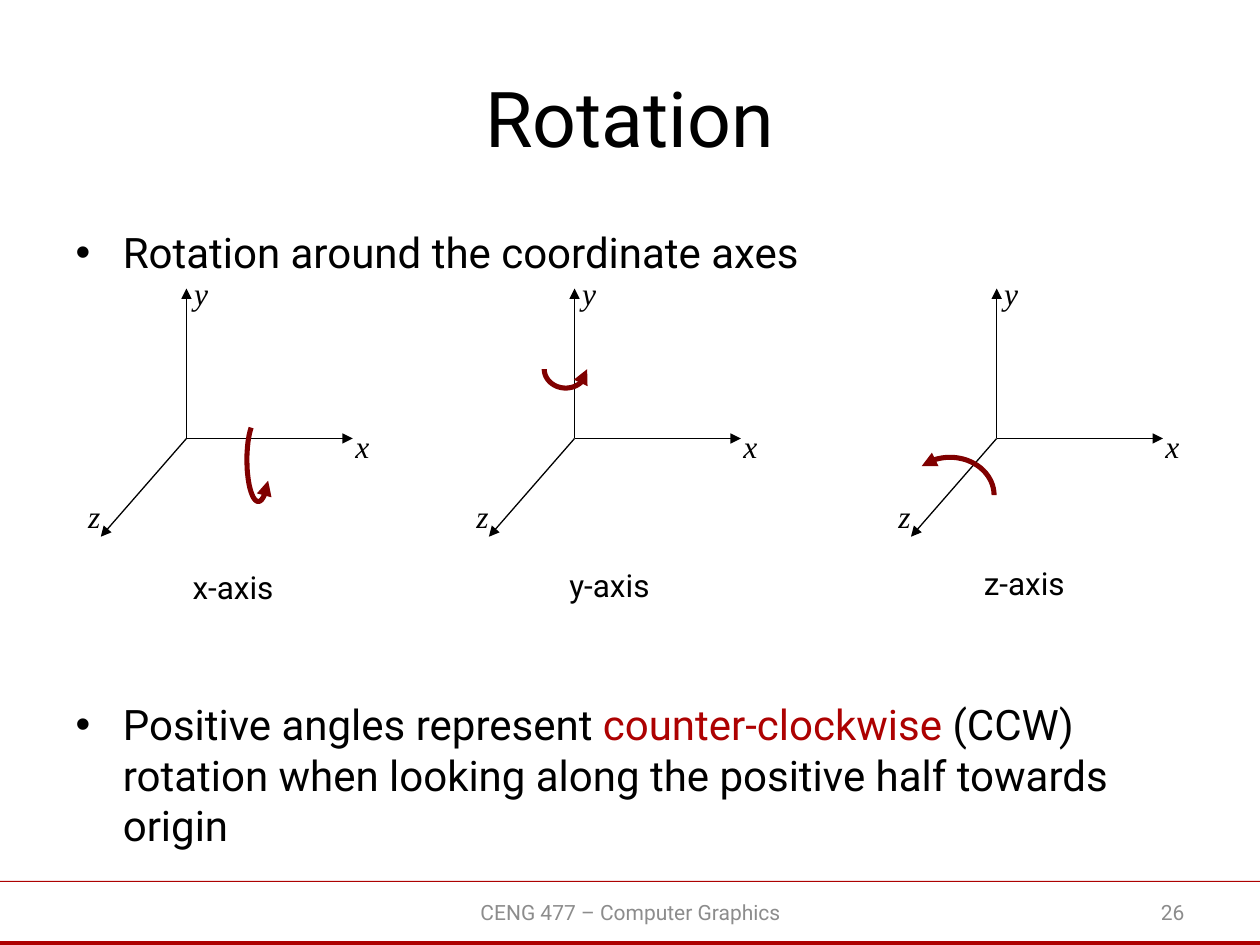
from math import cos, radians, sin

from lxml import etree
from pptx import Presentation
from pptx.dml.color import RGBColor
from pptx.enum.shapes import MSO_CONNECTOR, MSO_SHAPE
from pptx.enum.text import MSO_ANCHOR, MSO_AUTO_SIZE, PP_ALIGN
from pptx.oxml.ns import qn
from pptx.util import Inches, Pt

LEFT, CENTER, RIGHT = PP_ALIGN.LEFT, PP_ALIGN.CENTER, PP_ALIGN.RIGHT
MIDDLE, TOP = MSO_ANCHOR.MIDDLE, MSO_ANCHOR.TOP
STRAIGHT, RECTANGLE = MSO_CONNECTOR.STRAIGHT, MSO_SHAPE.RECTANGLE
NO_AUTOFIT = MSO_AUTO_SIZE.NONE

BLACK, RED, DARK_RED, GREY = "000000", "AD0101", "800000", "8C8C8C"
SANS, SERIF = "Roboto", "Times New Roman"
WIDTH, HEIGHT = 10, 7.5

# Offsets from the top left corner of a diagram
DIAGRAM_TOP = 2.17
ORIGIN = (0.78, 1.31)
AXES = {  # name: (arrow tip, label corner, label width)
    "y": ((0.78, 0.12), (0.84, 0), 0.14),
    "x": ((2.1, 1.31), (2.12, 1.21), 0.14),
    "z": ((0.1, 2.09), (0, 1.77), 0.12),
}
# axis, diagram left, caption corner, arc centre, arc radii, start and end angle
DIAGRAMS = [
    ("x", 0.7, (0.73, 2.29), (1.35, 1.48), (0.09, 0.33), (231, 30)),
    ("y", 3.78, (0.64, 2.27), (0.71, 0.76), (0.17, 0.15), (180, 0)),
    ("z", 7.13, (0.58, 2.26), (0.41, 1.76), (0.35, 0.3), (360, 230)),
]


def color(value):
    return RGBColor.from_string(value)


def add_run(paragraph, text, size, font_color=BLACK, name=SANS, italic=False):
    run = paragraph.add_run()
    run.text = text
    formats = {"size": Pt(size), "name": name, "italic": italic}
    for attribute, value in formats.items():
        setattr(run.font, attribute, value)
    run.font.color.rgb = color(font_color)


def add_text(slide, box, text, size, align=LEFT, anchor=TOP, wrap=False,
             margin=None, spacing=None, **font):
    frame = slide.shapes.add_textbox(*map(Inches, box)).text_frame
    frame.word_wrap, frame.vertical_anchor = wrap, anchor
    if margin is not None:
        for side in ("left", "top", "right", "bottom"):
            setattr(frame, f"margin_{side}", margin)
    paragraph = frame.paragraphs[0]
    paragraph.alignment, paragraph.line_spacing = align, spacing
    add_run(paragraph, text, size, **font)


def style_arrow(shape, line_color, width):
    shape.line.color.rgb = color(line_color)
    shape.line.width = Pt(width)
    etree.SubElement(shape.line._get_or_add_ln(), qn("a:tailEnd"), type="triangle")


def add_axes(slide, left, top):
    start = (left + ORIGIN[0], top + ORIGIN[1])
    for name, (tip, label, width) in AXES.items():
        end = (left + tip[0], top + tip[1])
        axis = slide.shapes.add_connector(STRAIGHT, *map(Inches, start + end))
        style_arrow(axis, BLACK, 0.75)
        etree.SubElement(axis._element.spPr, qn("a:effectLst"))
        add_text(slide, (left + label[0], top + label[1], width, 0.31), name, 18,
                 margin=0, spacing=1.02, name=SERIF, italic=True)


def add_rotation_arrow(slide, center, radii, angles, steps=48):
    """Draw an elliptical arc that ends in an arrowhead."""
    first, last = angles
    turns = [radians(first + (last - first) * i / steps) for i in range(steps + 1)]
    points = [(Inches(center[0] + radii[0] * cos(turn)),
               Inches(center[1] + radii[1] * sin(turn))) for turn in turns]
    builder = slide.shapes.build_freeform(*points[0])
    builder.add_line_segments(points[1:], close=False)
    arc = builder.convert_to_shape()
    arc.shadow.inherit = False
    arc.fill.background()
    style_arrow(arc, DARK_RED, 2.9)


def add_diagram(slide, axis, left, top, caption, center, radii, angles):
    add_axes(slide, left, top)
    add_rotation_arrow(slide, (left + center[0], top + center[1]), radii, angles)
    add_text(slide, (left + caption[0], top + caption[1], 0.86, 0.4),
             f"{axis}-axis", 18)


def fill_title(slide):
    frame = slide.shapes.title.text_frame
    frame.auto_size, frame.vertical_anchor = NO_AUTOFIT, MIDDLE
    frame.paragraphs[0].alignment = CENTER
    add_run(frame.paragraphs[0], "Rotation", 44)


def fill_body(slide):
    frame = slide.placeholders[1].text_frame
    frame.auto_size = NO_AUTOFIT
    first, second = frame.paragraphs[0], frame.add_paragraph()
    first.space_before = Pt(0)
    second.space_before = Pt(241)  # leaves room for the diagrams
    add_run(first, "Rotation around the coordinate axes", 24)
    add_run(second, "Positive angles represent ", 24)
    add_run(second, "counter-clockwise", 24, RED)
    add_run(second, " (CCW) rotation when looking along the positive half "
                    "towards origin", 24)


def add_footer(slide):
    for top, height in ((6.99, 0.01), (7.47, 0.03)):
        bar = slide.shapes.add_shape(
            RECTANGLE, *map(Inches, (0, top, WIDTH, height)))
        bar.shadow.inherit = False
        bar.fill.solid()
        bar.fill.fore_color.rgb = color(RED)
        bar.line.fill.background()
    for left, width, text, align in (
            (3.42, 3.17, "CENG 477 – Computer Graphics", CENTER),
            (7.17, 2.33, "26", RIGHT)):
        add_text(slide, (left, 7.04, width, 0.4), text, 12, align, MIDDLE,
                 wrap=True, font_color=GREY)


def main():
    presentation = Presentation()
    presentation.slide_width = Inches(WIDTH)
    presentation.slide_height = Inches(HEIGHT)
    slide = presentation.slides.add_slide(presentation.slide_layouts[1])
    fill_title(slide)
    fill_body(slide)
    for axis, left, *parts in DIAGRAMS:
        add_diagram(slide, axis, left, DIAGRAM_TOP, *parts)
    add_footer(slide)
    presentation.save("out.pptx")


if __name__ == "__main__":
    main()
